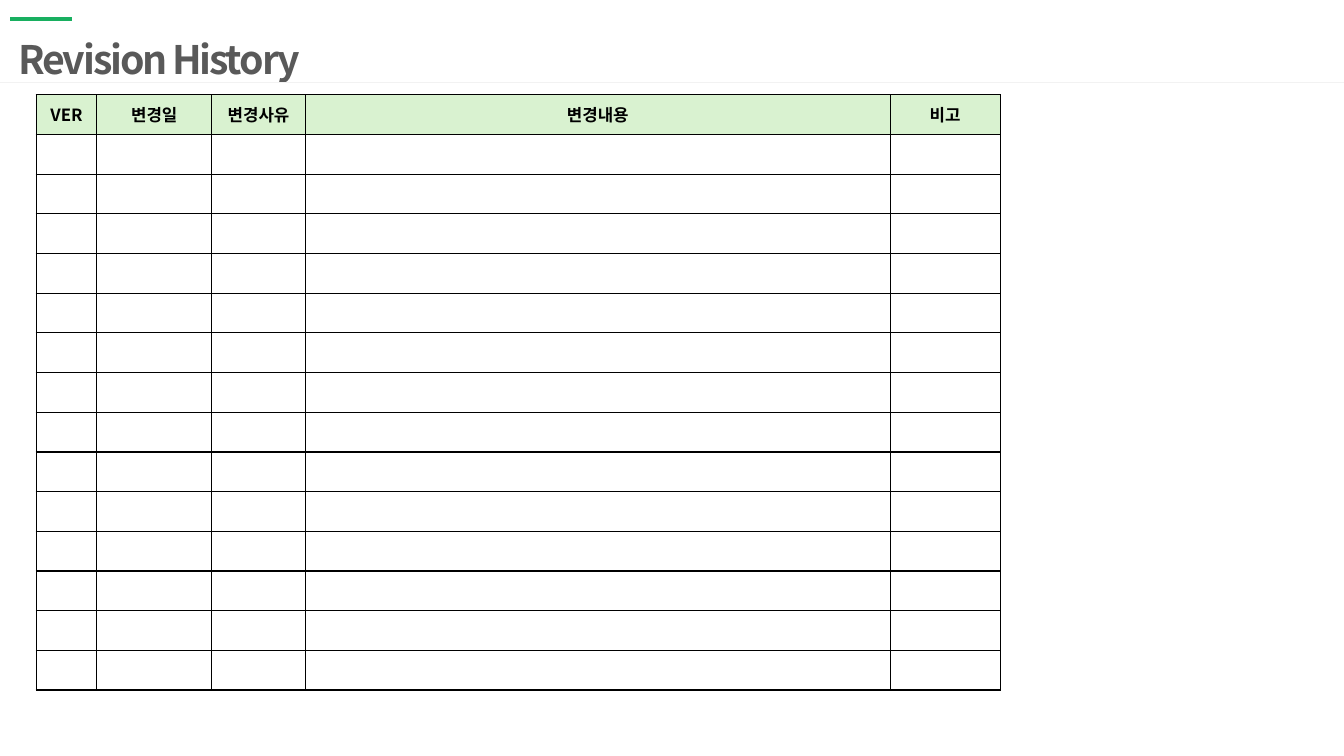
from pptx import Presentation
from pptx.dml.color import RGBColor
from pptx.enum.shapes import MSO_CONNECTOR
from pptx.enum.text import MSO_ANCHOR, MSO_AUTO_SIZE, PP_ALIGN
from pptx.oxml.ns import qn
from pptx.util import Inches, Pt
from lxml import etree

STRAIGHT = MSO_CONNECTOR.STRAIGHT
TOP, MIDDLE = MSO_ANCHOR.TOP, MSO_ANCHOR.MIDDLE
LEFT, CENTER = PP_ALIGN.LEFT, PP_ALIGN.CENTER
NO_AUTOFIT = MSO_AUTO_SIZE.NONE
TITLE_ONLY = 5

FONT = "Noto Sans CJK KR"
COLORS = {
    "accent": "18AF60",
    "divider": "F2F2F2",
    "title": "595959",
    "text": "000000",
    "border": "000000",
    "header": "D9F2D0",
}
HEADERS = ["VER", "변경일", "변경사유", "변경내용", "비고"]
COLUMN_WIDTHS = [0.6, 1.14, 0.93, 5.8, 1.09]
ROW_COUNT = 15
TABLE_HEIGHT = 5.91
CELL_TEXT_SIZE = 12


def color(name):
    return RGBColor.from_string(COLORS[name])


def format_run(run, size, color_name):
    run.font.size = Pt(size)
    run.font.bold = True
    run.font.name = FONT
    run.font.color.rgb = color(color_name)
    east_asian = etree.SubElement(run.font._element, qn("a:ea"))
    east_asian.set("typeface", FONT)


def add_rule(slide, left, right, top, color_name, width):
    rule = slide.shapes.add_connector(
        STRAIGHT, Inches(left), Inches(top), Inches(right), Inches(top)
    )
    rule.line.color.rgb = color(color_name)
    rule.line.width = Pt(width)
    etree.SubElement(rule._element.spPr, qn("a:effectLst"))


def set_title(slide, text):
    title = slide.shapes.title
    title.left, title.top = Inches(0.09), Inches(0.35)
    title.width, title.height = Inches(11.72), Inches(0.43)
    frame = title.text_frame
    frame.text = text
    frame.auto_size = NO_AUTOFIT
    frame.vertical_anchor = TOP
    frame.margin_left = frame.margin_right = Inches(0.09)
    frame.margin_top = frame.margin_bottom = Inches(0.05)
    paragraph = frame.paragraphs[0]
    paragraph.alignment = LEFT
    paragraph.line_spacing = 0.9
    run = paragraph.runs[0]
    format_run(run, 28, "title")
    run.font._element.set("spc", "-150")


def set_borders(cell):
    properties = cell._tc.get_or_add_tcPr()
    for position, side in enumerate(("a:lnL", "a:lnR", "a:lnT", "a:lnB")):
        border = etree.Element(qn(side), w=str(Pt(1)))
        fill = etree.SubElement(border, qn("a:solidFill"))
        etree.SubElement(fill, qn("a:srgbClr"), val=COLORS["border"])
        properties.insert(position, border)


def format_cell(cell, text):
    cell.vertical_anchor = MIDDLE
    paragraph = cell.text_frame.paragraphs[0]
    paragraph.alignment = CENTER
    if text:
        paragraph.text = text
        format_run(paragraph.runs[0], CELL_TEXT_SIZE, "text")
        cell.fill.solid()
        cell.fill.fore_color.rgb = color("header")
    else:
        etree.SubElement(
            paragraph._p, qn("a:endParaRPr"), sz=str(CELL_TEXT_SIZE * 100)
        )
        cell.fill.background()
    set_borders(cell)


def add_history_table(slide):
    table = slide.shapes.add_table(
        ROW_COUNT, len(HEADERS), Inches(0.36), Inches(0.94),
        Inches(sum(COLUMN_WIDTHS)), Inches(TABLE_HEIGHT),
    ).table
    table.horz_banding = False
    for column, width in zip(table.columns, COLUMN_WIDTHS):
        column.width = Inches(width)
    for row_index, row in enumerate(table.rows):
        row.height = Inches(TABLE_HEIGHT / ROW_COUNT)
        for cell, header in zip(row.cells, HEADERS):
            format_cell(cell, header if row_index == 0 else "")


def main():
    presentation = Presentation()
    presentation.slide_width = Inches(13.33)
    presentation.slide_height = Inches(7.5)
    slide = presentation.slides.add_slide(presentation.slide_layouts[TITLE_ONLY])
    add_rule(slide, 0.1, 0.71, 0.19, "accent", 3)
    add_rule(slide, 0, 13.33, 0.82, "divider", 1)
    set_title(slide, "Revision History")
    add_history_table(slide)
    presentation.save("out.pptx")


if __name__ == "__main__":
    main()
